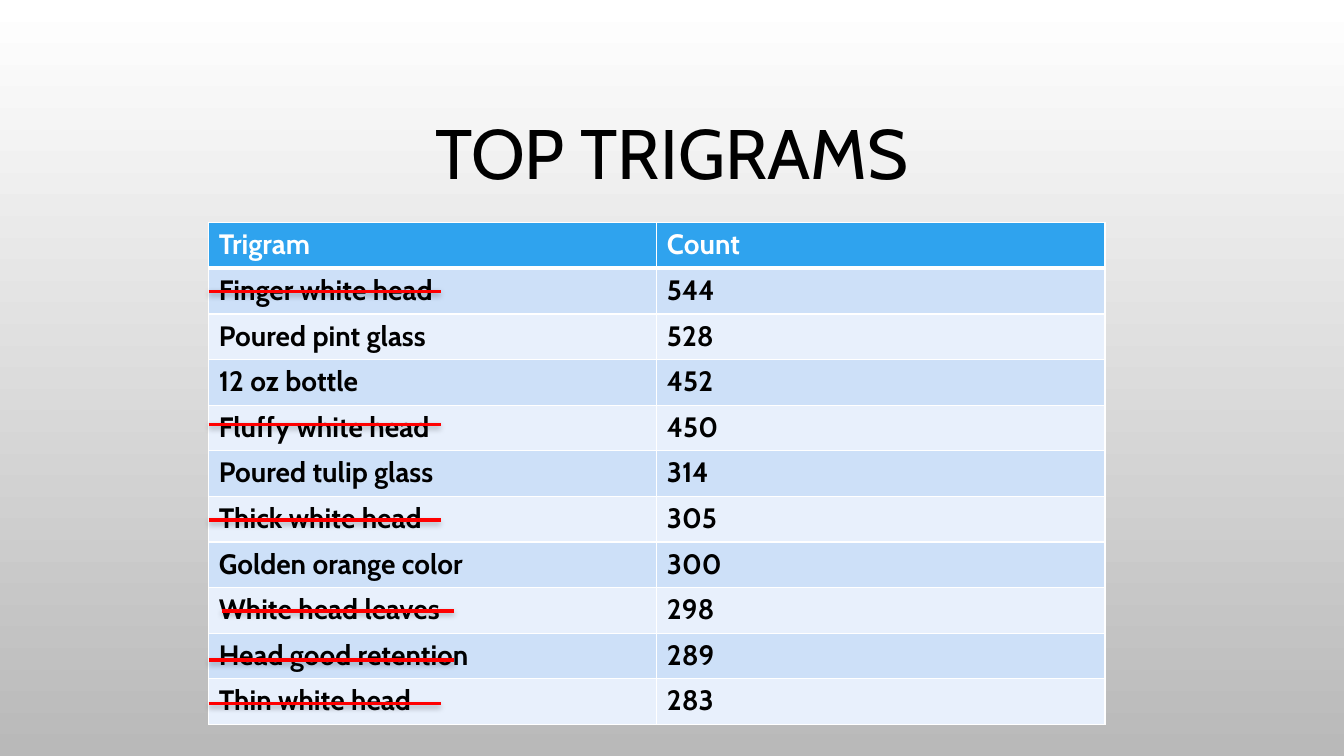
"""Build a slide listing the top trigrams, with some of them struck out."""
from lxml.etree import SubElement
from pptx import Presentation
from pptx.dml.color import RGBColor
from pptx.enum.shapes import MSO_CONNECTOR
from pptx.enum.text import MSO_ANCHOR, MSO_AUTO_SIZE, PP_ALIGN
from pptx.oxml.ns import qn
from pptx.util import Inches, Pt

COLORS = {
    "background_top": "FFFFFF",
    "background_bottom": "B9B9B9",
    "text": "000000",
    "header": "2FA3EE",
    "header_text": "FFFFFF",
    "odd_row": "CDE0F8",
    "even_row": "E8F0FC",
    "border": "FFFFFF",
    "strike": "FF0000",
    "shadow": "000000",
}
FONT = "Cabin"
TABLE_LEFT = 2.07
TRIGRAMS = [
    ("Trigram", "Count"),
    ("Finger white head", "544"),
    ("Poured pint glass", "528"),
    ("12 oz bottle", "452"),
    ("Fluffy white head", "450"),
    ("Poured tulip glass", "314"),
    ("Thick white head", "305"),
    ("Golden orange color", "300"),
    ("White head leaves", "298"),
    ("Head good retention", "289"),
    ("Thin white head", "283"),
]
STRIKES = [
    (TABLE_LEFT, 4.37, 2.89),
    (TABLE_LEFT, 4.37, 4.21),
    (TABLE_LEFT, 4.5, 6.55),
    (TABLE_LEFT, 4.37, 5.16),
    (TABLE_LEFT, 4.37, 6.98),
    (2.2, 4.5, 6.06),
]


def rgb(name):
    return RGBColor.from_string(COLORS[name])


def add_text(paragraph, text, size, color, bold=False):
    run = paragraph.add_run()
    run.text = text
    run.font.name = FONT
    run.font.size = Pt(size)
    run.font.bold = bold
    run.font.color.rgb = rgb(color)


def paint_background(slide):
    fill = slide.background.fill
    fill.gradient()
    fill.gradient_angle = 270
    for stop, name in zip(fill.gradient_stops, ("background_top", "background_bottom")):
        stop.color.rgb = rgb(name)


def set_title(slide, text):
    title = slide.shapes.title
    title.left, title.top = Inches(1), Inches(0.68)
    title.width, title.height = Inches(11.33), Inches(1.75)
    frame = title.text_frame
    frame.auto_size = MSO_AUTO_SIZE.NONE
    frame.word_wrap = True
    frame.vertical_anchor = MSO_ANCHOR.MIDDLE
    heading = frame.paragraphs[0]
    heading.alignment = PP_ALIGN.CENTER
    heading.line_spacing = 0.9
    add_text(heading, text, 50, "text")


def add_borders(cell, top_width, bottom_width):
    properties = cell._tc.get_or_add_tcPr()
    widths = {"lnL": 1, "lnR": 1, "lnT": top_width, "lnB": bottom_width}
    for side, width in widths.items():
        border = SubElement(properties, qn(f"a:{side}"), w=str(Pt(width)))
        fill = SubElement(border, qn("a:solidFill"))
        SubElement(fill, qn("a:srgbClr"), val=COLORS["border"])


def add_trigram_table(slide):
    table = slide.shapes.add_table(
        len(TRIGRAMS), 2, Inches(TABLE_LEFT), Inches(2.21), Inches(8.89), Inches(4.98)
    ).table
    for row, values in enumerate(TRIGRAMS):
        band = "header" if row == 0 else "odd_row" if row % 2 else "even_row"
        color = "text" if row else "header_text"
        for column, value in enumerate(values):
            cell = table.cell(row, column)
            add_borders(cell, 3 if row == 1 else 1, 3 if row == 0 else 1)
            cell.fill.solid()
            cell.fill.fore_color.rgb = rgb(band)
            add_text(cell.text_frame.paragraphs[0], value, 20, color, bold=True)


def add_strike(slide, start, end, y):
    strike = slide.shapes.add_connector(
        MSO_CONNECTOR.STRAIGHT, Inches(start), Inches(y), Inches(end), Inches(y)
    )
    strike.line.color.rgb = rgb("strike")
    strike.line.width = Pt(2.5)
    effects = SubElement(strike._element.spPr, qn("a:effectLst"))
    shadow = SubElement(
        effects, qn("a:outerShdw"), blurRad=str(Pt(4)), dist=str(Pt(2)),
        dir="5400000", rotWithShape="0",
    )
    color = SubElement(shadow, qn("a:srgbClr"), val=COLORS["shadow"])
    SubElement(color, qn("a:alpha"), val="28000")


def main():
    presentation = Presentation()
    presentation.slide_width = Inches(13.33)
    presentation.slide_height = Inches(7.5)
    slide = presentation.slides.add_slide(presentation.slide_layouts[5])
    paint_background(slide)
    set_title(slide, "TOP TRIGRAMS")
    add_trigram_table(slide)
    for start, end, y in STRIKES:
        add_strike(slide, start, end, y)
    presentation.save("out.pptx")


if __name__ == "__main__":
    main()
